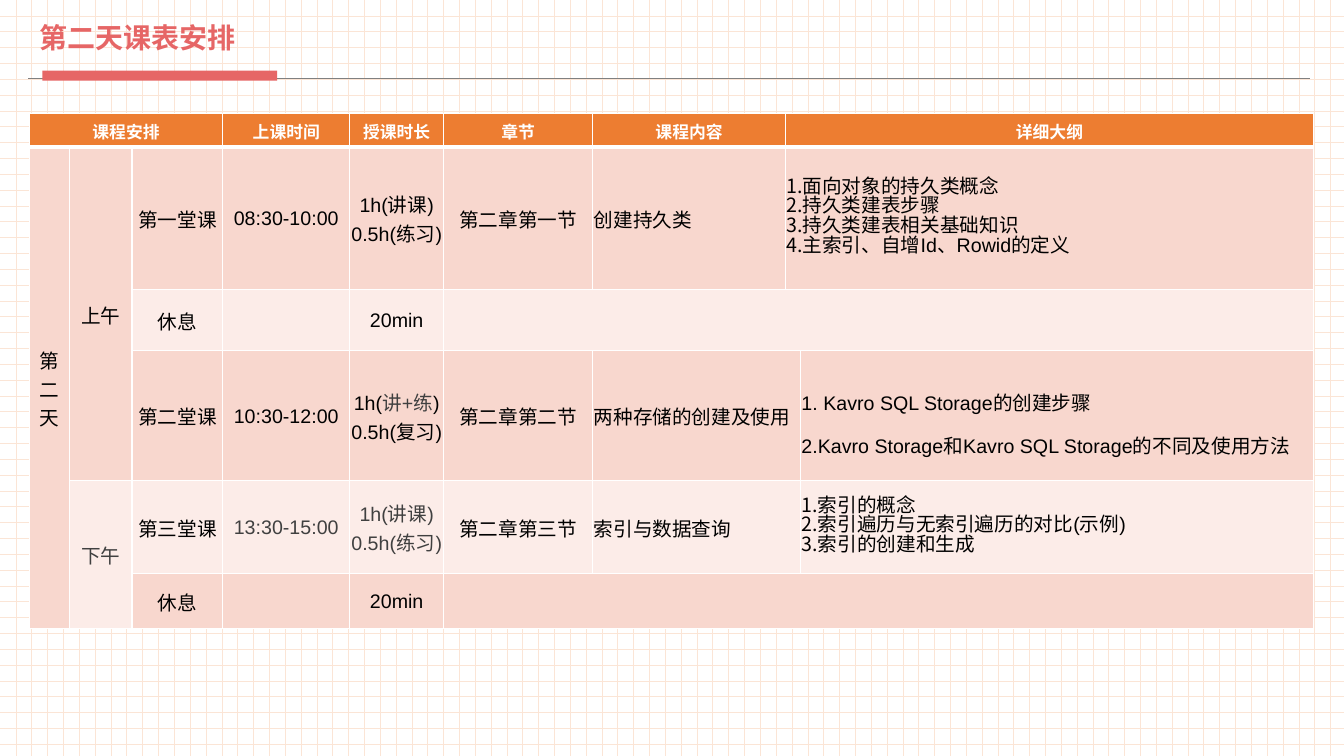
import dataclasses

import lxml.etree
import pptx
import pptx.dml.color
import pptx.enum.dml
import pptx.enum.shapes
import pptx.enum.text
import pptx.oxml.ns
import pptx.util

Inches = pptx.util.Inches
Pt = pptx.util.Pt
qn = pptx.oxml.ns.qn
Align = pptx.enum.text.PP_ALIGN


@dataclasses.dataclass(frozen=True)
class Theme:
    accent: str = "E66666"
    rule: str = "808080"
    header: str = "ED7D31"
    dark_band: str = "F8D7CE"
    light_band: str = "FCECE8"
    grid: str = "FBE5D6"
    white: str = "FFFFFF"
    black: str = "000000"
    gray: str = "404040"
    latin: str = "Arial"
    chinese: str = "Noto Sans CJK SC"
    title_size: int = 20
    header_size: int = 12
    body_size: int = 14


def rgb(color):
    return pptx.dml.color.RGBColor.from_string(color)


class SchedulePage:
    """Draws the elements of a timetable slide in one theme."""

    def __init__(self, page, theme):
        self.page = page
        self.theme = theme

    def background(self):
        fill = self.page.background.fill
        fill.patterned()
        fill.pattern = pptx.enum.dml.MSO_PATTERN.DOTTED_GRID
        fill.fore_color.rgb = rgb(self.theme.grid)
        fill.back_color.rgb = rgb(self.theme.white)

    def rule(self, left, right, top):
        line = self.page.shapes.add_connector(
            pptx.enum.shapes.MSO_CONNECTOR.STRAIGHT,
            Inches(left), Inches(top), Inches(right), Inches(top))
        line.line.color.rgb = rgb(self.theme.rule)
        line.line.width = Pt(0.5)
        lxml.etree.SubElement(line._element.spPr, qn("a:effectLst"))

    def bar(self, left, top, width, height):
        bar = self.page.shapes.add_shape(
            pptx.enum.shapes.MSO_SHAPE.RECTANGLE,
            Inches(left), Inches(top), Inches(width), Inches(height))
        bar.shadow.inherit = False
        bar.fill.solid()
        bar.fill.fore_color.rgb = rgb(self.theme.accent)
        bar.line.fill.background()

    def span(self, para, text, size, color, bold=False, latin=None):
        span = para.add_run()
        span.text = text
        span.font.size = Pt(size)
        span.font.bold = bold
        span.font.color.rgb = rgb(color)
        span.font.name = latin or self.theme.latin
        east = lxml.etree.SubElement(span.font._element, qn("a:ea"))
        east.set("typeface", self.theme.chinese)

    def title(self, text, left, top, width, height):
        box = self.page.shapes.add_textbox(
            Inches(left), Inches(top), Inches(width), Inches(height))
        box.text_frame.word_wrap = True
        para = box.text_frame.paragraphs[0]
        para.line_spacing = 0.9
        self.span(para, text, self.theme.title_size, self.theme.accent,
                  True, self.theme.chinese)

    def table(self, left, top, widths, heights):
        frame = self.page.shapes.add_table(
            len(heights), len(widths), Inches(left), Inches(top),
            Inches(sum(widths)), Inches(sum(heights)))
        table = frame.table
        table.first_row = False
        table.horz_banding = False
        for column, width in zip(table.columns, widths):
            column.width = Inches(width)
        for row, height in zip(table.rows, heights):
            row.height = Inches(height)
        return table

    def paint(self, cell, color, bottom=1):
        props = cell._tc.get_or_add_tcPr()
        for index, side in enumerate("LRTB"):
            border = props.makeelement(qn(f"a:ln{side}"), {})
            border.set("w", str(Pt(bottom if side == "B" else 1)))
            solid = lxml.etree.SubElement(border, qn("a:solidFill"))
            lxml.etree.SubElement(solid, qn("a:srgbClr")).set("val", self.theme.white)
            props.insert(index, border)
        cell.fill.solid()
        cell.fill.fore_color.rgb = rgb(color)

    def heading(self, cell, text):
        cell.vertical_anchor = pptx.enum.text.MSO_ANCHOR.MIDDLE
        para = cell.text_frame.paragraphs[0]
        para.alignment = Align.CENTER
        self.span(para, text, self.theme.header_size, self.theme.white, True)

    def entry(self, cell, lines, align=Align.CENTER, spacing=None, numbered=False):
        cell.vertical_anchor = pptx.enum.text.MSO_ANCHOR.MIDDLE
        cell.margin_left = cell.margin_right = cell.margin_top = Inches(0.01)
        cell.margin_bottom = 0
        frame = cell.text_frame
        for index, line in enumerate(lines):
            para = frame.add_paragraph() if index else frame.paragraphs[0]
            if numbered:
                self.number(para)
            para.alignment = align
            para.line_spacing = spacing
            for text, color in line:
                self.span(para, text, self.theme.body_size, color)

    def number(self, para):
        props = para._p.get_or_add_pPr()
        props.set("marL", "0")
        props.set("indent", str(Inches(-0.25)))
        font = lxml.etree.SubElement(props, qn("a:buFont"))
        font.set("typeface", self.theme.chinese)
        lxml.etree.SubElement(props, qn("a:buAutoNum")).set("type", "arabicPeriod")


def main():
    theme = Theme()
    deck = pptx.Presentation()
    deck.slide_width, deck.slide_height = Inches(13.33), Inches(7.5)
    schedule = SchedulePage(deck.slides.add_slide(deck.slide_layouts[6]), theme)
    schedule.background()
    schedule.rule(0.28, 12.99, 0.78)
    schedule.bar(0.42, 0.7, 2.33, 0.1)
    schedule.title("第二天课表安排", 0.29, 0.19, 10.21, 0.58)

    table = schedule.table(
        0.29, 1.13, [0.4, 0.62, 0.9, 1.26, 0.93, 1.48, 1.91, 0.15, 5.09],
        [0.33, 1.41, 0.61, 1.29, 0.92, 0.55])
    dark, light = theme.dark_band, theme.light_band
    bands = [theme.header, dark, light, dark, light, dark]
    for row, band in enumerate(bands):
        for column in range(len(table.columns)):
            color = dark if row and (column == 0 or column == 1 and row < 4) else band
            if column == 1 and row > 3:
                color = light
            schedule.paint(table.cell(row, column), color, 1 if row else 3)

    merges = [(0, 0, 0, 2), (0, 7, 0, 8), (1, 0, 5, 0), (1, 1, 3, 1), (4, 1, 5, 1),
              (1, 7, 1, 8), (2, 5, 2, 8), (3, 6, 3, 7), (4, 6, 4, 7), (5, 5, 5, 8)]
    for top, left, bottom, right in merges:
        table.cell(top, left).merge(table.cell(bottom, right))

    headings = {0: "课程安排", 3: "上课时间", 4: "授课时长", 5: "章节",
                6: "课程内容", 7: "详细大纲"}
    for column, text in headings.items():
        schedule.heading(table.cell(0, column), text)

    def plain(*texts, color=theme.black):
        return [[(text, color)] for text in texts]

    gray = theme.gray
    practice = ("1h(讲课)", "0.5h(练习)")
    mixed = [[("1h(", theme.black), ("讲+练", gray), (")", theme.black)]]
    centered = {
        (1, 0): plain("第二天"), (1, 1): plain("上午"), (4, 1): plain("下午", color=gray),
        (1, 2): plain("第一堂课"), (3, 2): plain("第二堂课"), (4, 2): plain("第三堂课"),
        (1, 3): plain("08:30-10:00"), (3, 3): plain("10:30-12:00"),
        (4, 3): plain("13:30-15:00", color=gray),
        (1, 4): plain(*practice), (3, 4): mixed + plain("0.5h(复习)"),
        (4, 4): plain(*practice, color=gray),
        (1, 5): plain("第二章第一节"), (3, 5): plain("第二章第二节"),
        (4, 5): plain("第二章第三节"),
    }
    for row in (2, 5):
        centered[row, 2] = plain("休息")
        centered[row, 4] = plain("20min")
    for place, lines in centered.items():
        schedule.entry(table.cell(*place), lines)

    for row, topic in {1: "创建持久类", 3: "两种存储的创建及使用", 4: "索引与数据查询"}.items():
        schedule.entry(table.cell(row, 6), plain(topic), Align.LEFT)

    outlines = {
        (1, 7): ("面向对象的持久类概念", "持久类建表步骤", "持久类建表相关基础知识",
                 "主索引、自增Id、Rowid的定义"),
        (4, 8): ("索引的概念", "索引遍历与无索引遍历的对比(示例)", "索引的创建和生成"),
    }
    for place, lines in outlines.items():
        schedule.entry(table.cell(*place), plain(*lines), Align.LEFT, Pt(14), True)
    schedule.entry(
        table.cell(3, 8),
        plain("1. Kavro SQL Storage的创建步骤",
              "2.Kavro Storage和Kavro SQL Storage的不同及使用方法"),
        Align.LEFT, 1.5)
    deck.save("out.pptx")


if __name__ == "__main__":
    main()
